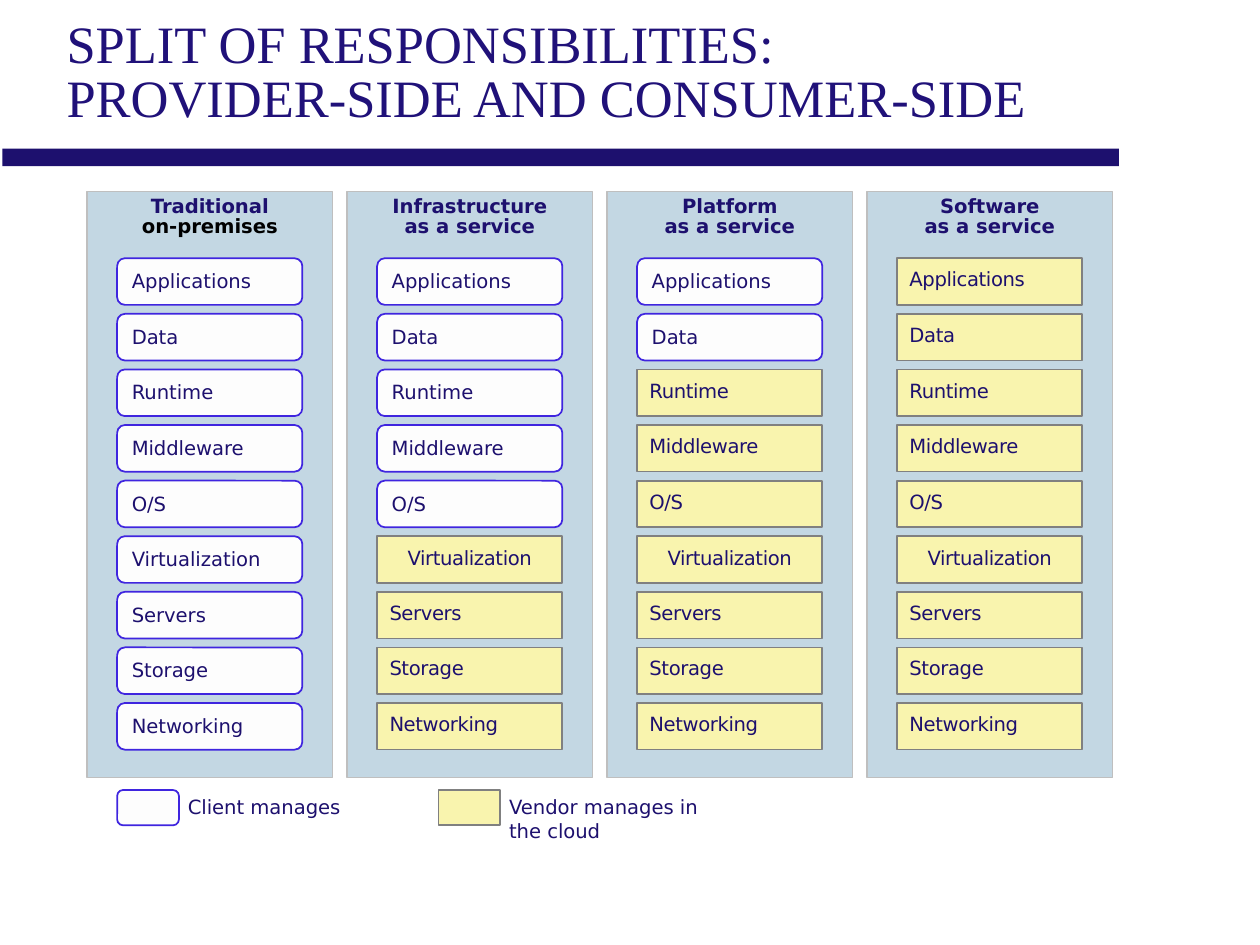
"""Build the slide on how provider and consumer split the cloud stack."""
import pptx
import pptx.dml.color
import pptx.enum.shapes
import pptx.enum.text
import pptx.util

TITLE = "SPLIT OF RESPONSIBILITIES: \nPROVIDER-SIDE AND CONSUMER-SIDE"
LAYERS = ["Applications", "Data", "Runtime", "Middleware", "O/S",
          "Virtualization", "Servers", "Storage", "Networking"]
MODELS = [
    {"head": [("Traditional", "ink"), ("on-premises", "black")], "client": 9},
    {"head": [("Infrastructure\nas a service", "ink")], "client": 5},
    {"head": [("Platform\nas a service", "ink")], "client": 2},
    {"head": [("Software\nas a service", "ink")], "client": 0},
]
LEGEND = [("client", 0.93, "Client manages"),
          ("vendor", 3.48, "Vendor manages in the cloud")]

THEME = {
    "ink": "1D106E", "title": "201179", "black": "000000",
    "panel": "C3D7E3", "edge": "BFBFBF",
    "client": "FDFDFD", "rim": "3F25DF",
    "vendor": "F9F4AE", "grey": "808080",
    "sans": "DejaVu Sans", "serif": "Times New Roman",
    "body": 11.2, "large": 30,
}

Inches, Pt = pptx.util.Inches, pptx.util.Pt
KIND = pptx.enum.shapes.MSO_SHAPE
ALIGN = pptx.enum.text.PP_ALIGN
ANCHOR = pptx.enum.text.MSO_ANCHOR
SIDES = ("margin_left", "margin_top", "margin_right", "margin_bottom")
STYLES = {"client": (KIND.ROUNDED_RECTANGLE, "client", "rim"),
          "vendor": (KIND.RECTANGLE, "vendor", "grey"),
          "panel": (KIND.RECTANGLE, "panel", "edge"),
          "bar": (KIND.RECTANGLE, "ink", None)}


def color(name):
    return pptx.dml.color.RGBColor.from_string(THEME[name])


def apply(target, values):
    for key, value in values.items():
        setattr(target, key, value)


def draw(slide, style, area):
    kind, fill, line = STYLES[style]
    shape = slide.shapes.add_shape(kind, *map(Inches, area))
    shape.shadow.inherit = False
    shape.fill.solid()
    shape.fill.fore_color.rgb = color(fill)
    if line:
        shape.line.color.rgb = color(line)
        shape.line.width = Pt(1)
    else:
        shape.line.fill.background()
    return shape


def write(shape, parts, inset=(0, 0, 0, 0), anchor=ANCHOR.TOP,
          align=ALIGN.LEFT, lead=None, font="sans", size="body",
          bold=False, track=None):
    frame = shape.text_frame
    apply(frame, {"word_wrap": False, "vertical_anchor": anchor,
                  **dict(zip(SIDES, map(Inches, inset)))})
    for n, (text, ink) in enumerate(parts):
        para = frame.add_paragraph() if n else frame.paragraphs[0]
        para.text = text
        apply(para, {"alignment": align, "line_spacing": lead})
        for run in para.runs:
            apply(run.font, {"name": THEME[font], "size": Pt(THEME[size]),
                             "bold": bold})
            run.font.color.rgb = color(ink)
            if track:
                run._r.get_or_add_rPr().set("spc", str(track))


def label(slide, area, parts, **form):
    write(slide.shapes.add_textbox(*map(Inches, area)), parts, **form)


def stack(slide, left, model):
    lead = Pt(THEME["body"])
    panel = draw(slide, "panel", (left, 1.52, 1.95, 4.65))
    write(panel, model["head"], inset=(0, 0.05, 0, 0), align=ALIGN.CENTER,
          lead=lead, bold=True)
    pitch = (5.58 - 2.05) / (len(LAYERS) - 1)
    for row, name in enumerate(LAYERS):
        style = "client" if row < model["client"] else "vendor"
        box = draw(slide, style, (left + 0.24, 2.05 + row * pitch, 1.47, 0.37))
        form = {"inset": (0.1, 0, 0, 0.01), "anchor": ANCHOR.MIDDLE}
        if style == "vendor":
            form.update(lead=lead, track=-20)
            if name == "Virtualization":
                form.update(inset=(0, 0, 0, 0), align=ALIGN.CENTER)
        write(box, [(name, "ink")], **form)


def main():
    deck = pptx.Presentation()
    apply(deck, {"slide_width": Inches(10), "slide_height": Inches(7.5)})
    slide = deck.slides.add_slide(deck.slide_layouts[6])
    draw(slide, "bar", (0.02, 1.18, 8.86, 0.14))
    label(slide, (0.43, 0.09, 8.03, 1), [(TITLE, "title")],
          inset=(0.1, 0.05, 0.1, 0.05), anchor=ANCHOR.MIDDLE, lead=0.85,
          font="serif", size="large")
    pitch = (6.88 - 0.69) / (len(MODELS) - 1)
    for col, model in enumerate(MODELS):
        stack(slide, 0.69 + col * pitch, model)
    for style, left, text in LEGEND:
        draw(slide, style, (left, 6.27, 0.49, 0.28))
        label(slide, (left + 0.56, 6.31, 1.68, 0.28), [(text, "ink")])
    deck.save("out.pptx")


if __name__ == "__main__":
    main()
